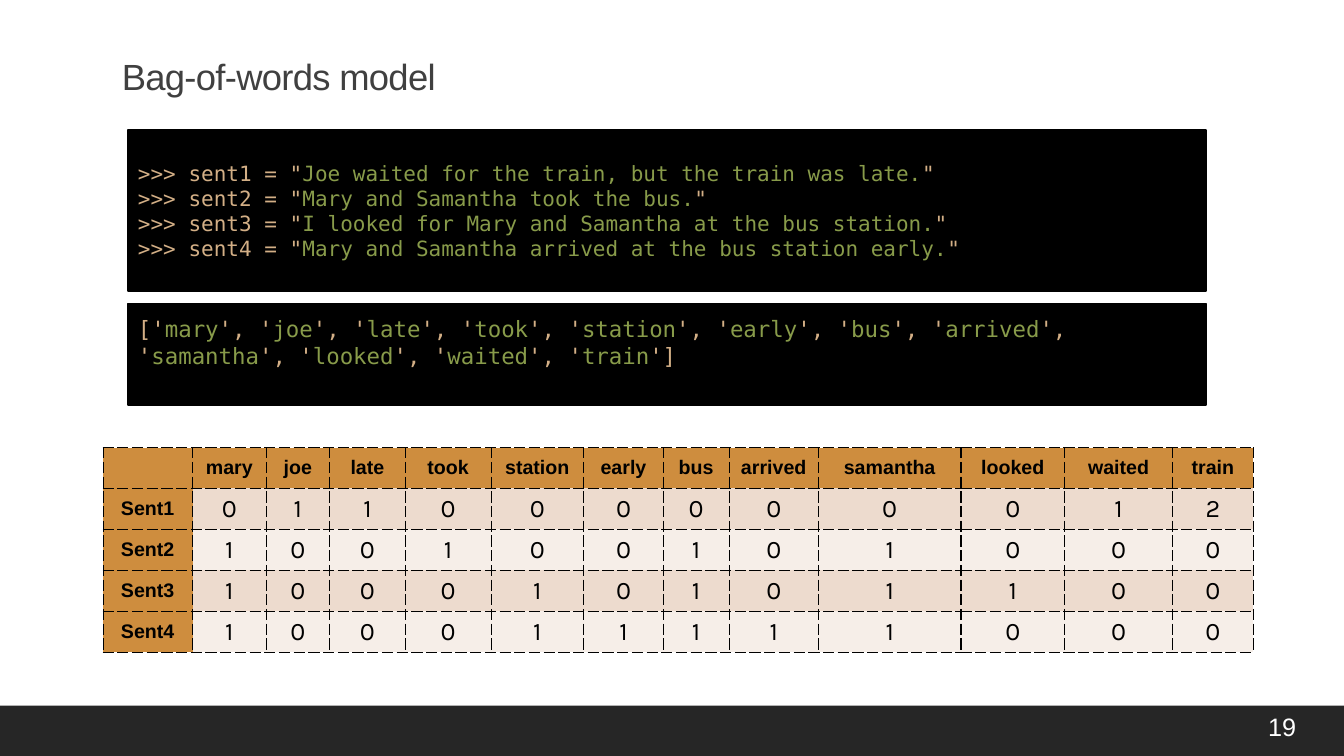
"""Build the bag-of-words model slide."""
from lxml.etree import SubElement
from pptx import Presentation
from pptx.dml.color import RGBColor
from pptx.enum.shapes import MSO_SHAPE
from pptx.enum.text import MSO_ANCHOR, PP_ALIGN
from pptx.oxml.ns import qn
from pptx.util import Inches, Pt

BLACK = RGBColor(0x00, 0x00, 0x00)
WHITE = RGBColor(0xFF, 0xFF, 0xFF)
FOOTER = RGBColor(0x26, 0x26, 0x26)
TITLE = RGBColor(0x40, 0x40, 0x40)
CODE = RGBColor(0xD3, 0xAF, 0x86)
STRING = RGBColor(0x88, 0x9B, 0x4A)
HEADER = RGBColor(0xCE, 0x8D, 0x3E)
BANDS = (RGBColor(0xED, 0xDB, 0xCE), RGBColor(0xF6, 0xEE, 0xE8))

SENTENCES = [
    "Joe waited for the train, but the train was late.",
    "Mary and Samantha took the bus.",
    "I looked for Mary and Samantha at the bus station.",
    "Mary and Samantha arrived at the bus station early.",
]
VOCABULARY = ["mary", "joe", "late", "took", "station", "early", "bus",
              "arrived", "samantha", "looked", "waited", "train"]
WIDTHS = [0.89, 0.73, 0.63, 0.75, 0.85, 0.92, 0.79, 0.65, 0.89, 1.41,
          1.03, 1.07, 0.8]
SPLIT = 10


class SlideBuilder:
    """Hold the style and the slide under construction."""

    sans, mono, digits = "Arial", "DejaVu Sans Mono", "Karla"

    def __init__(self, slide):
        self.s = slide

    def run(self, p, text, font, size, color, bold=False):
        r = p.add_run()
        r.text = text
        r.font.name, r.font.size, r.font.bold = font, Pt(size), bold
        r.font.color.rgb = color
        return r

    def text(self, box, text, size, color, anchor=MSO_ANCHOR.TOP, spacing=0):
        tf = self.s.shapes.add_textbox(*map(Inches, box)).text_frame
        tf.word_wrap = True
        tf.vertical_anchor = anchor
        r = self.run(tf.paragraphs[0], text, self.sans, size, color)
        if spacing:
            r.font._element.set("spc", str(spacing))

    def rect(self, box, color, outlined=False):
        sp = self.s.shapes.add_shape(MSO_SHAPE.RECTANGLE, *map(Inches, box))
        sp.shadow.inherit = False
        sp.fill.solid()
        sp.fill.fore_color.rgb = color
        if outlined:
            sp.line.color.rgb = color
            sp.line.width = Pt(1.25)
        else:
            sp.line.fill.background()
        return sp

    def code(self, box, lines, size, bottom=0):
        tf = self.rect(box, BLACK, outlined=True).text_frame
        tf.word_wrap = True
        tf.vertical_anchor = MSO_ANCHOR.MIDDLE
        tf.margin_left = tf.margin_right = Inches(0.1)
        tf.margin_top, tf.margin_bottom = 0, Inches(bottom)
        for i, line in enumerate(lines):
            p = tf.add_paragraph() if i else tf.paragraphs[0]
            p.alignment = PP_ALIGN.LEFT
            for j, part in enumerate(line):
                self.run(p, part, self.mono, size, STRING if j % 2 else CODE)

    def border(self, cell):
        tc_pr = cell._tc.get_or_add_tcPr()
        for side in ("a:lnL", "a:lnR", "a:lnT", "a:lnB"):
            ln = SubElement(tc_pr, qn(side), w=str(Pt(0.5)))
            fill = SubElement(ln, qn("a:solidFill"))
            SubElement(fill, qn("a:srgbClr"), val=str(BLACK))
            SubElement(ln, qn("a:prstDash"), val="sysDash")

    def table(self, left, top, height, widths, rows):
        tbl = self.s.shapes.add_table(
            len(rows), len(widths), Inches(left), Inches(top),
            Inches(sum(widths)), Inches(height)).table
        tbl.first_row = tbl.horz_banding = False
        for col, width in zip(tbl.columns, widths):
            col.width = Inches(width)
        for i, row in enumerate(rows):
            for j, value in enumerate(row):
                self.cell(tbl.cell(i, j), value, BANDS[(i - 1) % 2])

    def cell(self, cell, value, band):
        heading = isinstance(value, str)
        self.border(cell)
        cell.fill.solid()
        cell.fill.fore_color.rgb = HEADER if heading else band
        cell.vertical_anchor = MSO_ANCHOR.MIDDLE
        p = cell.text_frame.paragraphs[0]
        p.alignment = PP_ALIGN.CENTER
        if heading and value:
            self.run(p, value, self.sans, 14, BLACK, bold=True)
        elif not heading:
            self.run(p, str(value), self.digits, 18, BLACK)


def count_words(sentence):
    """Count each vocabulary word in a sentence."""
    words = [word.strip(".,") for word in sentence.lower().split()]
    return [words.count(word) for word in VOCABULARY]


def main():
    """Assemble and save the slide."""
    prs = Presentation()
    prs.slide_width, prs.slide_height = Inches(13.33), Inches(7.5)
    b = SlideBuilder(prs.slides.add_slide(prs.slide_layouts[6]))

    b.rect((0, 7, 13.33, 0.5), FOOTER)
    b.text((1.11, 0.49, 6.67, 0.54), "Bag-of-words model", 26, TITLE, spacing=-50)

    b.code((1.27, 1.29, 10.69, 1.6),
           [(f'>>> sent{n} = "', sentence, '"')
            for n, sentence in enumerate(SENTENCES, 1)], 15)
    word_list = ["['"]
    for word in VOCABULARY:
        word_list += [word, "', '"]
    word_list[-1] = "']"
    b.code((1.27, 3.01, 10.69, 1.01), [word_list], 16, bottom=0.24)

    rows = [[""] + VOCABULARY]
    rows += [[f"Sent{n}"] + count_words(sentence)
             for n, sentence in enumerate(SENTENCES, 1)]
    left = 1.02
    for part in (slice(SPLIT), slice(SPLIT, None)):
        b.table(left, 4.44, 2.03, WIDTHS[part], [row[part] for row in rows])
        left += sum(WIDTHS[part])

    b.text((12.48, 7.01, 0.85, 0.4), "19", 18, WHITE, MSO_ANCHOR.MIDDLE)
    prs.save("out.pptx")


if __name__ == "__main__":
    main()
